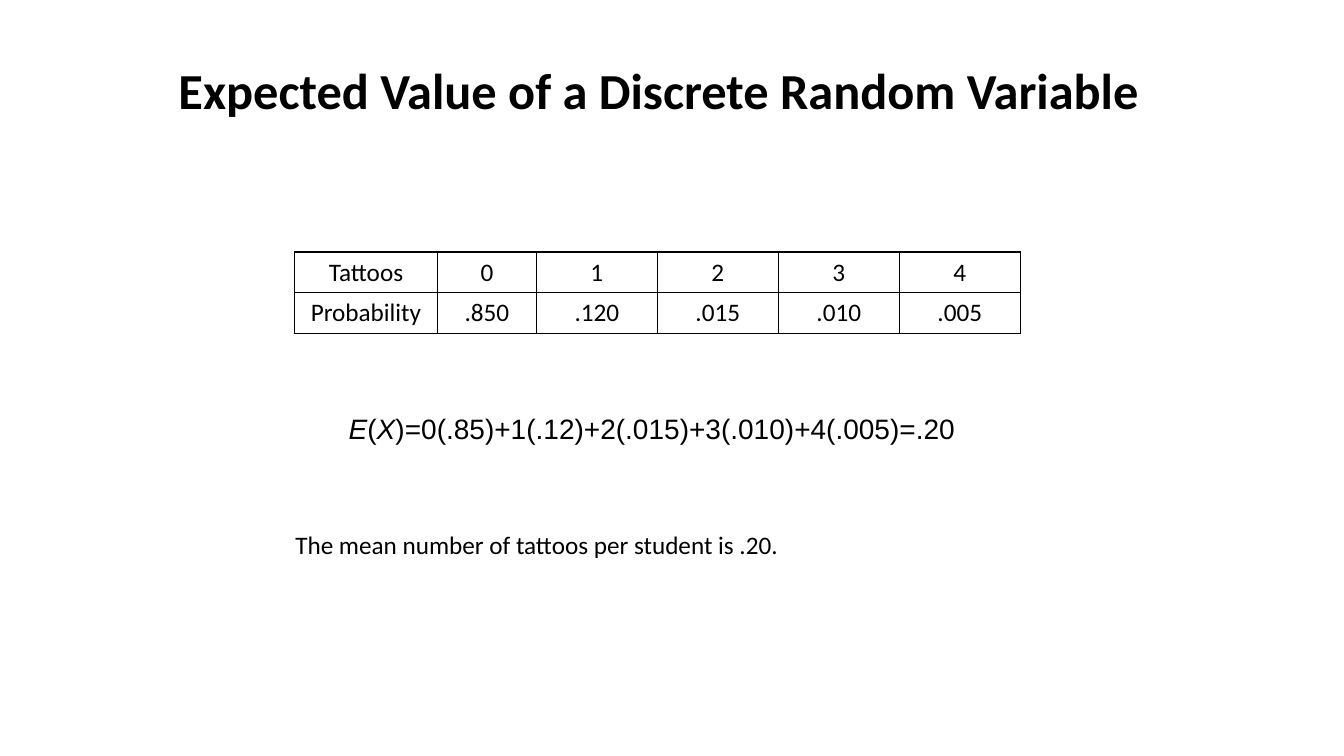
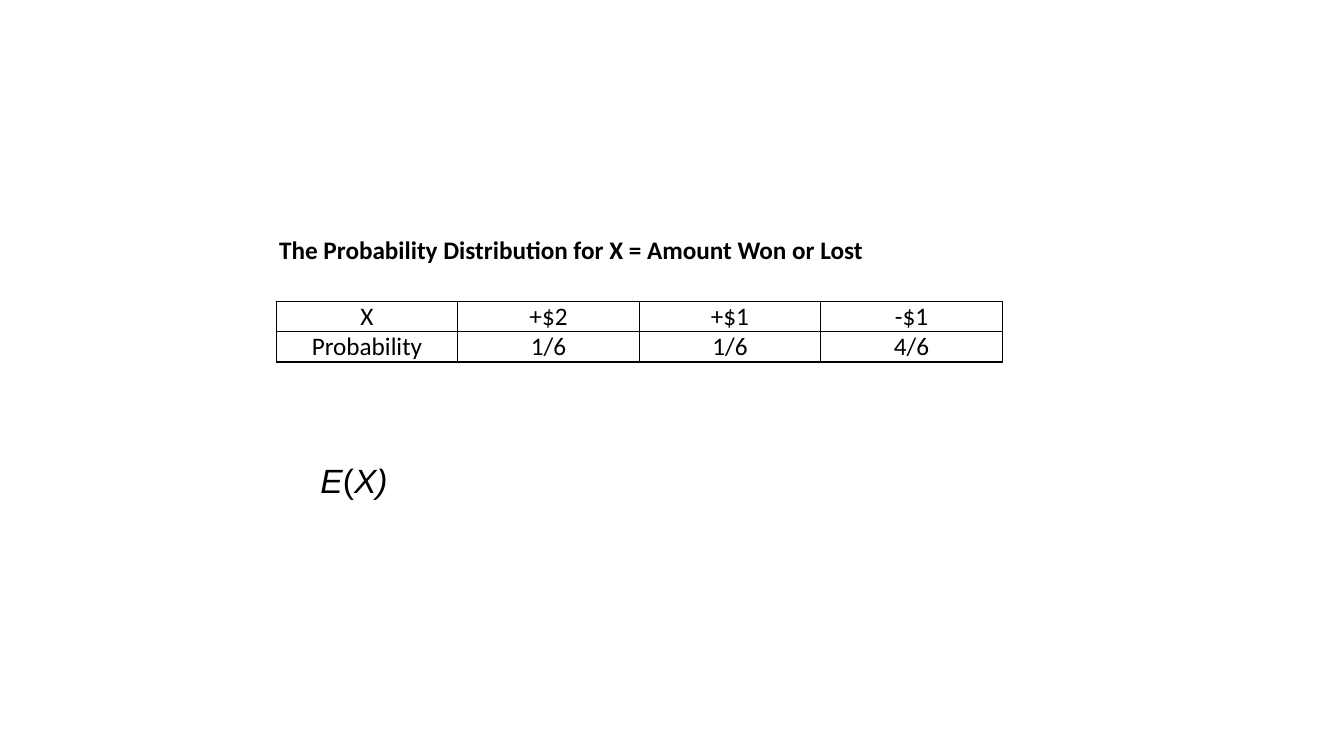
import pptx
import pptx.util
import pptx.dml.color
import pptx.enum.text
import pptx.oxml.ns
import lxml.etree

Inches = pptx.util.Inches
Pt = pptx.util.Pt
Align = pptx.enum.text.PP_ALIGN
Anchor = pptx.enum.text.MSO_ANCHOR
INK = "000000"
BODY = "Calibri"
MATH = "Arial"


def paint(color, code):
    color.rgb = pptx.dml.color.RGBColor.from_string(code)


def style(font, size, name=BODY, bold=False):
    font.size = Pt(size)
    font.name = name
    font.bold = bold
    paint(font.color, INK)


def place(shape, box):
    shape.left, shape.top, shape.width, shape.height = map(Inches, box)


def add_title(slide, text, box):
    title = slide.shapes.title
    place(title, box)
    frame = title.text_frame
    frame.text = text
    frame.vertical_anchor = Anchor.MIDDLE
    para = frame.paragraphs[0]
    para.alignment = Align.LEFT
    para.line_spacing = 0.9
    style(para.font, 36, bold=True)


def add_text(slide, box):
    frame = slide.shapes.add_textbox(*map(Inches, box)).text_frame
    frame.word_wrap = True
    return frame


def add_line(slide, text, box, bold=False):
    frame = add_text(slide, box)
    frame.text = text
    style(frame.paragraphs[0].font, 18, bold=bold)


def add_math(slide, parts, size, box):
    frame = add_text(slide, box)
    frame.vertical_anchor = Anchor.MIDDLE
    para = frame.paragraphs[0]
    style(para.font, size, MATH)
    for index, part in enumerate(parts):
        run = para.add_run()
        run.text = part
        run.font.italic = index % 2 == 0


def add_edges(cell):
    props = cell._tc.get_or_add_tcPr()
    qn = pptx.oxml.ns.qn
    for side in "LRTB":
        edge = lxml.etree.SubElement(props, qn(f"a:ln{side}"), w=str(Pt(1)))
        fill = lxml.etree.SubElement(edge, qn("a:solidFill"))
        lxml.etree.SubElement(fill, qn("a:srgbClr"), val=INK)


def add_grid(slide, rows, left, top, widths, height, inset=None):
    box = (left, top, sum(widths), height * len(rows))
    frame = slide.shapes.add_table(len(rows), len(widths), *map(Inches, box))
    table = frame.table
    table.first_row = table.horz_banding = False
    for column, width in zip(table.columns, widths):
        column.width = Inches(width)
    for row, texts in zip(table.rows, rows):
        row.height = Inches(height)
        for cell, text in zip(row.cells, texts):
            cell.text = text
            cell.vertical_anchor = Anchor.MIDDLE
            if inset is not None:
                cell.margin_left = cell.margin_right = Inches(inset)
                cell.margin_top = cell.margin_bottom = Inches(inset)
            para = cell.text_frame.paragraphs[0]
            para.alignment = Align.CENTER
            style(para.font, 18)
            add_edges(cell)
            cell.fill.background()


def build_mean(deck):
    slide = deck.slides.add_slide(deck.slide_layouts[5])
    add_title(slide, "Expected Value of a Discrete Random Variable",
              (1.67, 0.3, 9.83, 1.25))
    rows = [("Tattoos", "0", "1", "2", "3", "4"),
            ("Probability", ".850", ".120", ".015", ".010", ".005")]
    add_grid(slide, rows, 2.92, 2.5, [1.42, 0.98] + [1.2] * 4, 0.4)
    parts = ("E", "(", "X", ")=0(.85)+1(.12)+2(.015)+3(.010)+4(.005)=.20")
    add_math(slide, parts, 20, (3.36, 4.03, 6.32, 0.44))
    add_line(slide, "The mean number of tattoos per student is .20.",
             (2.83, 5.2, 6.75, 0.4))


def build_game(deck):
    slide = deck.slides.add_slide(deck.slide_layouts[6])
    rows = [("X", "+$2", "+$1", "-$1"),
            ("Probability", "1/6", "1/6", "4/6")]
    add_grid(slide, rows, 2.74, 2.99, [1.8] * 4, 0.3, inset=0)
    add_line(slide, "The Probability Distribution for X = Amount Won or Lost",
             (2.67, 2.28, 7.25, 0.4), bold=True)
    add_math(slide, ("E", "(", "X)"), 24, (3.08, 4.51, 0.88, 0.5))


def main():
    deck = pptx.Presentation()
    deck.slide_width = Inches(13.33)
    deck.slide_height = Inches(7.5)
    build_mean(deck)
    build_game(deck)
    deck.save("out.pptx")


if __name__ == "__main__":
    main()
